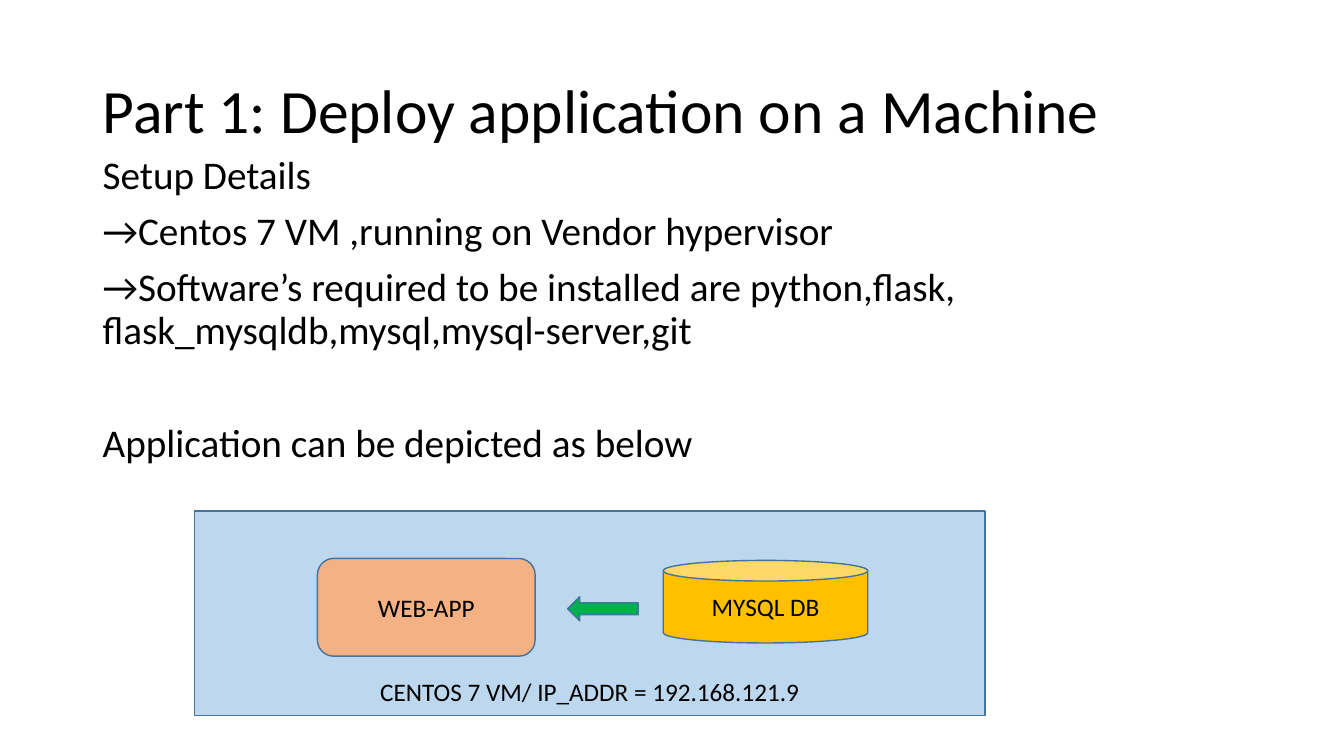
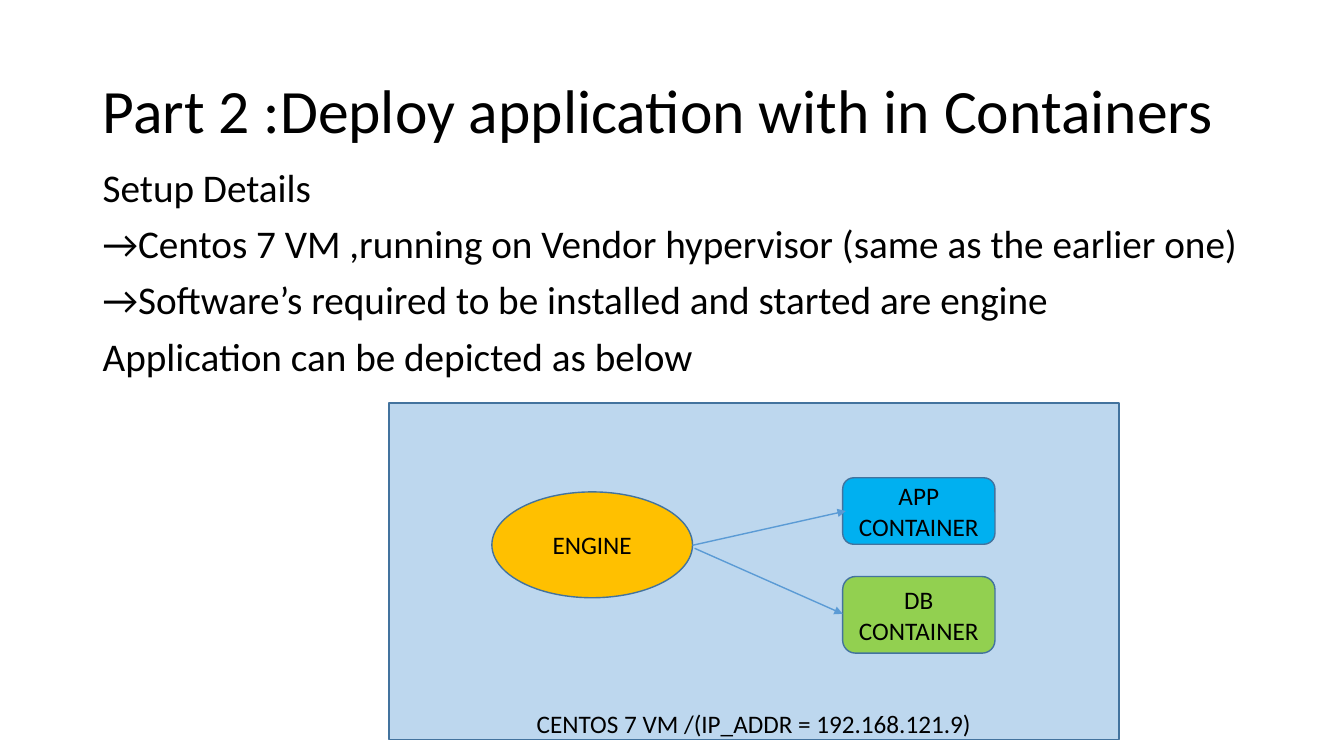
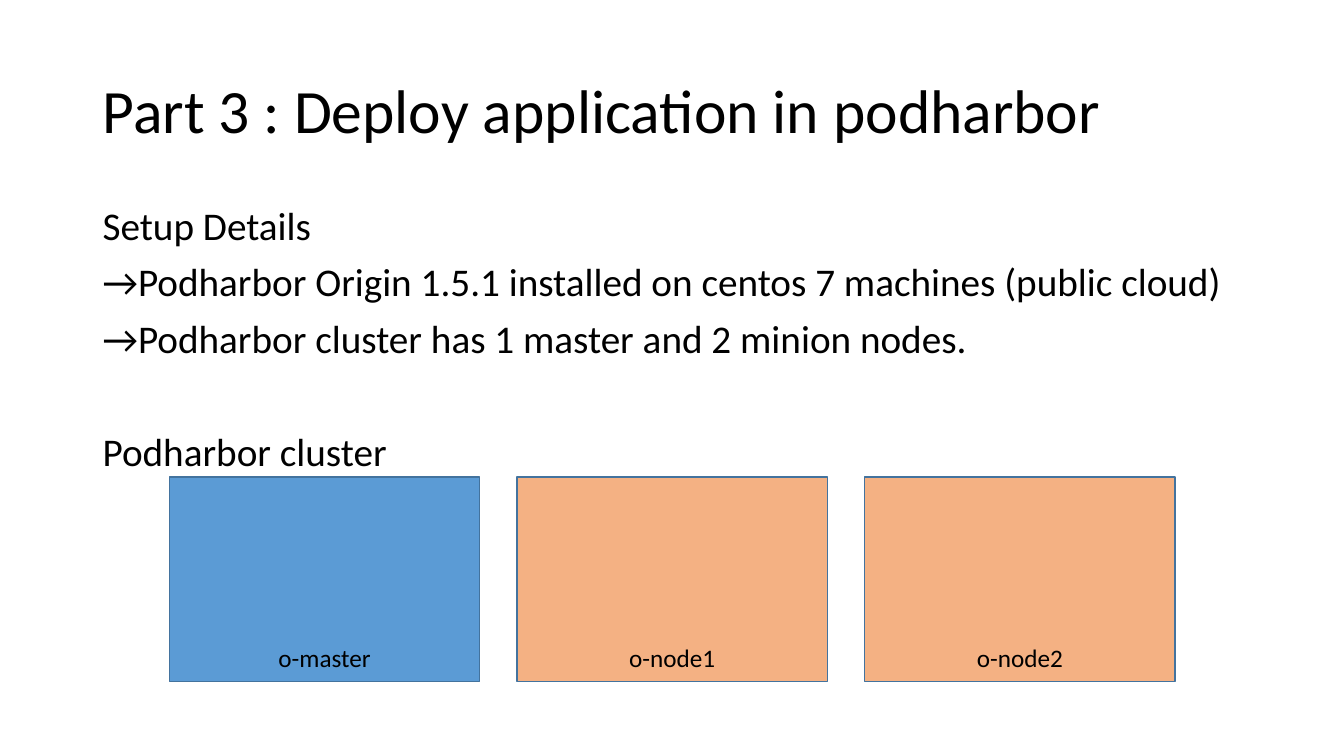
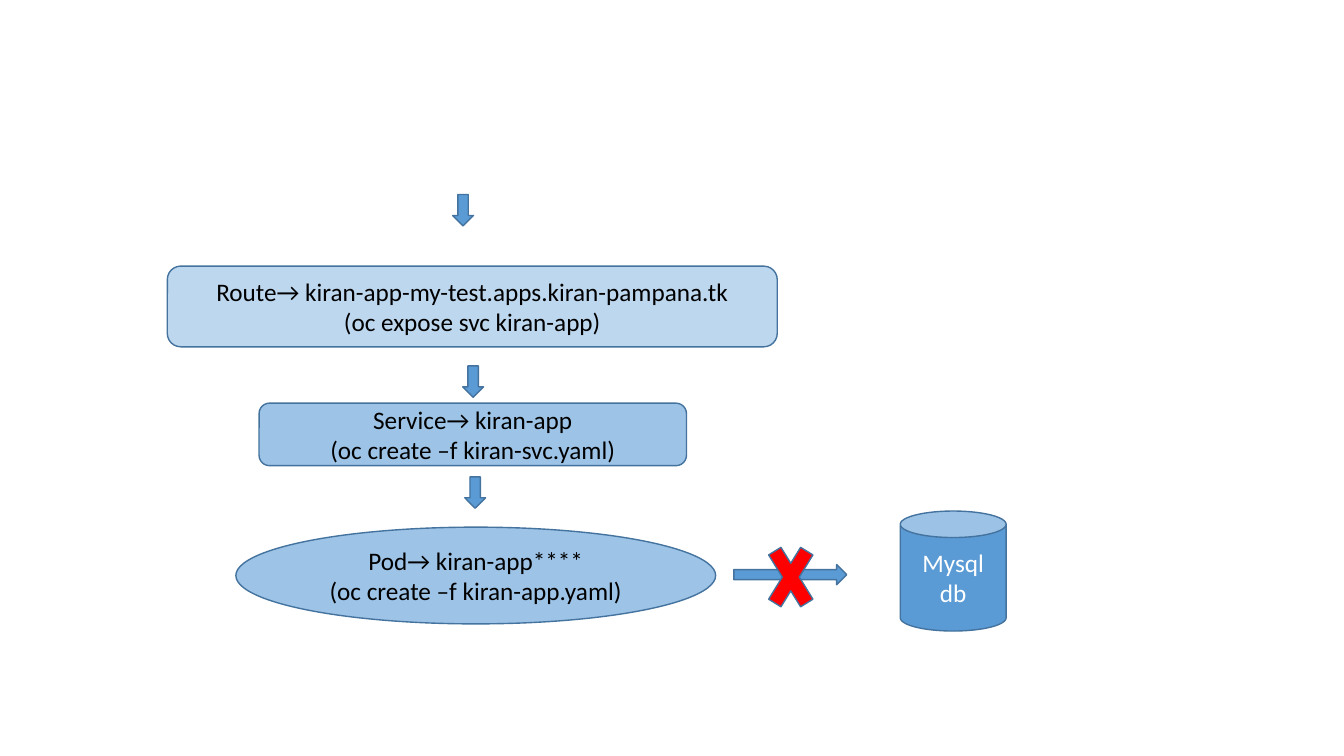
from dataclasses import dataclass

from pptx import Presentation
from pptx import util as u
from pptx.dml.color import RGBColor
from pptx.enum import shapes, text
from pptx.oxml.ns import qn
from lxml import etree


@dataclass(frozen=True)
class Theme:
    font: str = "Calibri"
    title: int = 44
    body: int = 28
    label: int = 18
    black: str = "000000"
    white: str = "FFFFFF"
    outline: str = "43739E"
    blue: str = "5B9BD5"
    mid_blue: str = "9DC3E6"
    pale_blue: str = "BDD7EE"
    sky: str = "00B0F0"
    peach: str = "F4B183"
    gold: str = "FFC000"
    lime: str = "92D050"
    green: str = "00B050"
    red: str = "FF0000"


T = Theme()
K = shapes.MSO_SHAPE
MIDDLE, BOTTOM = text.MSO_ANCHOR.MIDDLE, text.MSO_ANCHOR.BOTTOM

# The slide is a grid of 100 columns by 100 rows.
COL, ROW = u.Inches(13.3333) // 100, u.Inches(7.5) // 100
TITLE_AT = (6.9, 5.33, 86.25, 19.33)
BODY_LEFT = 6.9
NODE_LEFT, NODE_PITCH = 12.6, 25.87


def place(*cells):
    """Turn alternating columns and rows into slide lengths."""
    return [int(n * (ROW if i % 2 else COL)) for i, n in enumerate(cells)]


def write(tf, words, size, colour=T.black, align=text.PP_ALIGN.LEFT):
    tf.word_wrap = True
    tf.text = words
    for p in tf.paragraphs:
        p.alignment = align
        for r in p.runs:
            r.font.name = T.font
            r.font.size = u.Pt(size)
            r.font.color.rgb = RGBColor.from_string(colour)


# Shapes: kind, cells, fill, label. A rectangle carries its label at the foot.
# Body: top, width, height, space before the last paragraph, text.
slides = [
    dict(
        title="Part 1: Deploy application on a Machine",
        body=(19.87, 89.2, 77.6, 50.5,
              "Setup Details\n"
              "→Centos 7 VM ,running on Vendor hypervisor\n"
              "→Software’s required to be installed are python,flask, "
              "flask_mysqldb,mysql,mysql-server,git\n"
              "Application can be depicted as below"),
        shapes=[
            (K.RECTANGLE, (14.48, 67.6, 58.8, 27.07), T.pale_blue,
             "CENTOS 7 VM/ IP_ADDR = 192.168.121.9"),
            (K.ROUNDED_RECTANGLE, (23.62, 73.87, 16.2, 12.93), T.peach, "WEB-APP"),
            (K.CAN, (49.35, 74.13, 15.22, 10.93), T.gold, "MYSQL DB"),
            (K.LEFT_ARROW, (42.23, 78.93, 5.25, 3.2), T.green, ""),
        ],
    ),
    dict(
        title="Part 2 :Deploy application with in Containers",
        body=(21.6, 87.6, 68.4, 10,
              "Setup Details\n"
              "→Centos 7 VM ,running on Vendor hypervisor (same as the earlier one)\n"
              "→Software’s required to be installed and started are engine\n"
              "Application can be depicted as below"),
        foot=0.01,
        shapes=[
            (K.RECTANGLE, (28.95, 53.33, 54.3, 44.53), T.pale_blue,
             "CENTOS 7 VM /(IP_ADDR = 192.168.121.9)"),
            (K.ROUNDED_RECTANGLE, (62.7, 63.2, 11.33, 8.8), T.sky, "APP\nCONTAINER"),
            (K.ROUNDED_RECTANGLE, (62.7, 76.27, 11.33, 10.13), T.lime, "DB\nCONTAINER"),
            (K.OVAL, (36.6, 65.07, 14.93, 14), T.gold, "ENGINE"),
        ],
        arrows=[(51.53, 72.13, 62.93, 67.6), (51.68, 72.53, 62.7, 81.2)],
    ),
    dict(
        title="Part 3 : Deploy application in podharbor",
        body=(26.67, 86.25, 63.47, 50.5,
              "Setup Details\n"
              "→Podharbor Origin 1.5.1 installed on centos 7 machines (public cloud)\n"
              "→Podharbor cluster has 1 master and 2 minion nodes.\n"
              "Podharbor cluster"),
        shapes=[
            (K.RECTANGLE, (NODE_LEFT + i * NODE_PITCH, 63.07, 23.1, 27.07), fill, name)
            for i, (name, fill) in enumerate(
                [("o-master", T.blue), ("o-node1", T.peach), ("o-node2", T.peach)])
        ],
    ),
    dict(
        shapes=[
            (K.OVAL, (17.55, 69.73, 35.7, 12.8), T.mid_blue,
             "Pod→ kiran-app****\n(oc create –f kiran-app.yaml)"),
            (K.ROUNDED_RECTANGLE, (19.28, 53.33, 31.8, 8.27), T.mid_blue,
             "Service→ kiran-app\n(oc create –f kiran-svc.yaml)"),
            (K.ROUNDED_RECTANGLE, (12.45, 35.2, 45.38, 10.67), T.pale_blue,
             "Route→ kiran-app-my-test.apps.kiran-pampana.tk\n(oc expose svc kiran-app)"),
            *[(K.DOWN_ARROW, (x, y, 1.55, 4.15), T.blue, "")
              for x, y in [(33.68, 25.73), (34.43, 48.4), (34.58, 63.07)]],
            (K.RIGHT_ARROW, (54.6, 74.67, 8.4, 2.67), T.blue, ""),
            (K.CAN, (66.98, 67.6, 7.88, 15.87), T.blue, "Mysql db"),
            (K.MATH_MULTIPLY, (56.55, 69.73, 4.58, 13.2), T.red, ""),
        ],
        label_colours={"Mysql db": T.white},
    ),
]

prs = Presentation()
prs.slide_width, prs.slide_height = 100 * COL, 100 * ROW

for page in slides:
    s = prs.slides.add_slide(prs.slide_layouts[6])

    if "title" in page:
        tf = s.shapes.add_textbox(*place(*TITLE_AT)).text_frame
        write(tf, page["title"], T.title)
        tf.vertical_anchor = MIDDLE
        tf.paragraphs[0].line_spacing = 0.9

    if "body" in page:
        top, width, height, last_gap, words = page["body"]
        tf = s.shapes.add_textbox(*place(BODY_LEFT, top, width, height)).text_frame
        write(tf, words, T.body)
        for p in tf.paragraphs:
            p.line_spacing = 0.9
        for p in tf.paragraphs[1:]:
            p.space_before = u.Pt(10)
        tf.paragraphs[-1].space_before = u.Pt(last_gap)

    for kind, cells, fill, label in page["shapes"]:
        sp = s.shapes.add_shape(kind, *place(*cells))
        sp.shadow.inherit = False
        sp.fill.solid()
        sp.fill.fore_color.rgb = RGBColor.from_string(fill)
        sp.line.color.rgb = RGBColor.from_string(T.outline)
        sp.line.width = u.Pt(1)
        if label:
            tf = sp.text_frame
            colour = page.get("label_colours", {}).get(label, T.black)
            write(tf, label, T.label, colour, text.PP_ALIGN.CENTER)
            tf.vertical_anchor = MIDDLE
            if kind == K.RECTANGLE:
                tf.vertical_anchor = BOTTOM
                tf.margin_bottom = u.Inches(page.get("foot", 0.09))

    for cells in page.get("arrows", []):
        arrow = s.shapes.add_connector(shapes.MSO_CONNECTOR.STRAIGHT, *place(*cells))
        arrow.line.color.rgb = RGBColor.from_string(T.blue)
        arrow.line.width = u.Pt(1)
        props = arrow.element.spPr
        etree.SubElement(props.find(qn("a:ln")), qn("a:tailEnd"), type="triangle")
        etree.SubElement(props, qn("a:effectLst"))

prs.save("out.pptx")
